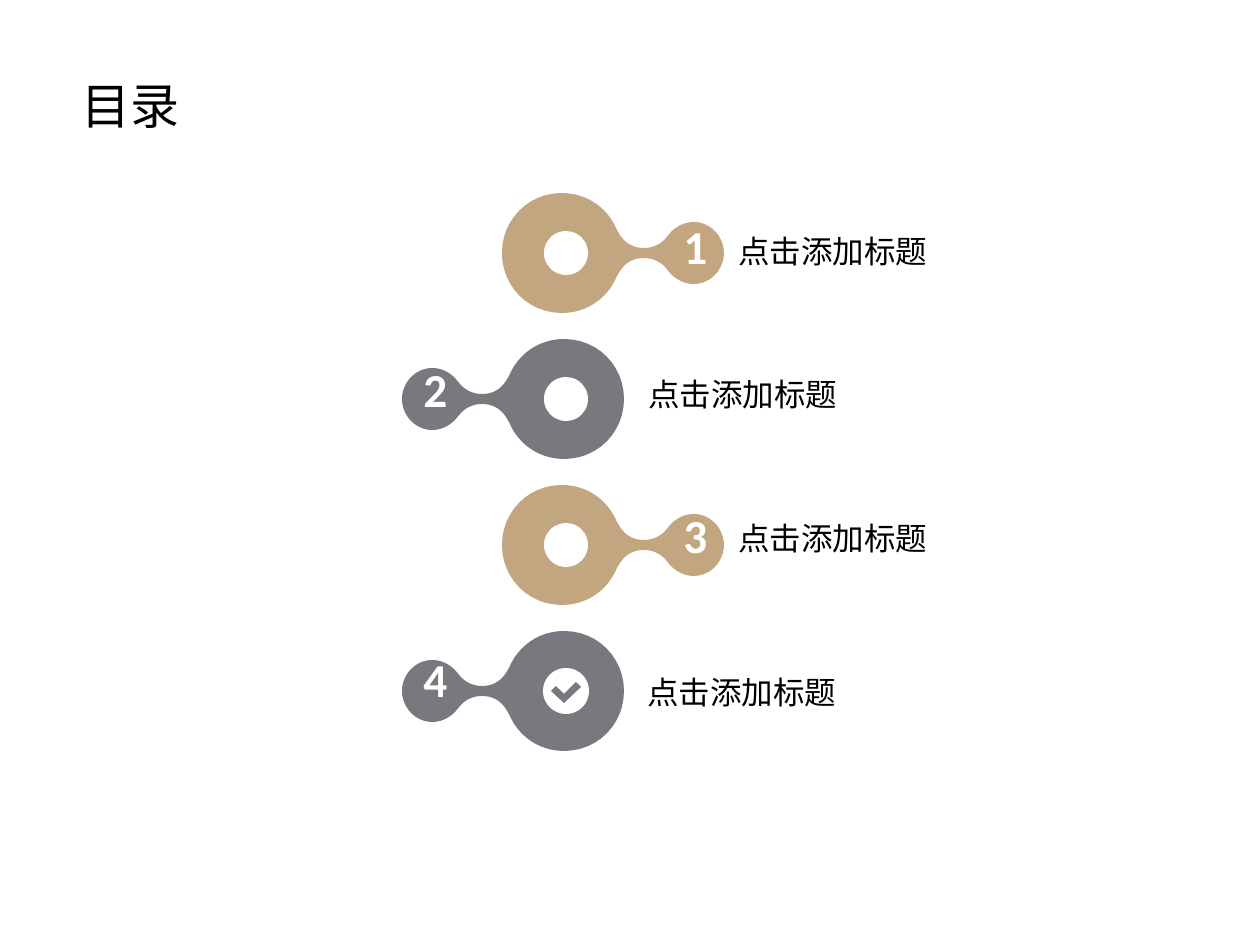
import pptx
import pptx.util
import pptx.dml.color
import pptx.enum.shapes
import pptx.enum.text
import pptx.oxml.ns
import lxml.etree

PX = 914400 // 126
HUES = {"tan": "C2A67F", "gray": "7A777E", "white": "FFFFFF", "black": "000000"}
HAN = "Noto Sans CJK SC"

TITLE = "目录"
ROWS = [
    {"num": "1", "num_y": 231, "text": "点击添加标题", "at": (726, 226)},
    {"num": "2", "num_y": 374, "text": "点击添加标题", "at": (636, 369)},
    {"num": "3", "num_y": 520, "text": "点击添加标题", "at": (726, 513)},
    {"num": "4", "num_y": 664, "text": "点击添加标题", "at": (635, 667)},
]
TOP, STEP = 253, 146
SIDES = [
    {"hue": "tan", "edge": 502, "sign": 1, "num_x": 692},
    {"hue": "gray", "edge": 624, "sign": -1, "num_x": 432},
]
ICON_X = 566
CHECK = [(-15, 0), (-10, -5), (-2, 3), (10, -9), (15, -4), (-2, 12)]
ARCS = [
    [(0, 0), (0, -33), (26, -60), (60, -60)],
    [(60, -60), (85, -60), (106, -45), (115, -23)],
    [(118, -18), (124, -9), (132, -5), (142, -5)],
    [(142, -5), (151, -5), (159, -9), (164, -15)],
    [(169, -21), (175, -27), (183, -31), (192, -31)],
    [(192, -31), (208, -31), (222, -17), (222, 0)],
]


def trace(arc, count=12):
    for i in range(count + 1):
        t = i / count
        mix = ((1 - t) ** 3, 3 * t * (1 - t) ** 2, 3 * t * t * (1 - t), t ** 3)
        yield tuple(sum(m * p[k] for m, p in zip(mix, arc)) for k in (0, 1))


def paint(shape, hue):
    shape.shadow.inherit = False
    shape.fill.solid()
    shape.fill.fore_color.rgb = pptx.dml.color.RGBColor.from_string(HUES[hue])
    shape.line.fill.background()


def draw(slide, points, x, y, hue, sign=1):
    spots = [(round((x + sign * a) * PX), round((y + b) * PX)) for a, b in points]
    pen = slide.shapes.build_freeform(*spots[0], scale=1.0)
    pen.add_line_segments(spots[1:], close=True)
    paint(pen.convert_to_shape(), hue)


def disc(slide, x, y, size, hue):
    kind = pptx.enum.shapes.MSO_SHAPE.OVAL
    box = [v * PX for v in (x - size // 2, y - size // 2, size, size)]
    paint(slide.shapes.add_shape(kind, *box), hue)


def write(slide, text, box, size=18, hue="black", face=HAN, bold=False,
          wrap=False, align="LEFT", space=None):
    frame = slide.shapes.add_textbox(*[v * PX for v in box]).text_frame
    frame.word_wrap = wrap
    para = frame.paragraphs[0]
    para.alignment = getattr(pptx.enum.text.PP_ALIGN, align)
    if space:
        para.line_spacing = space
    run = para.add_run()
    run.text = text
    font = run.font
    font.size = pptx.util.Pt(size)
    font.bold = bold
    font.color.rgb = pptx.dml.color.RGBColor.from_string(HUES[hue])
    font.name = face
    east = lxml.etree.SubElement(run._r.get_or_add_rPr(), pptx.oxml.ns.qn("a:ea"))
    east.set("typeface", face)


def main():
    deck = pptx.Presentation()
    deck.slide_width = pptx.util.Inches(10)
    deck.slide_height = pptx.util.Inches(7.5)
    slide = deck.slides.add_slide(deck.slide_layouts[6])

    half = [p for arc in ARCS for p in trace(arc)]
    link = half + [(a, -b) for a, b in reversed(half)]

    write(slide, TITLE, (69, 69, 137, 72), size=28, wrap=True)
    for i, row in enumerate(ROWS):
        side = SIDES[i % 2]
        y = TOP + i * STEP
        draw(slide, link, side["edge"], y, side["hue"], side["sign"])
        disc(slide, ICON_X, y, 46 if row is ROWS[-1] else 44, "white")
        write(slide, row["num"], (side["num_x"] - 21, row["num_y"], 42, 53),
              size=27, hue="white", face="Calibri", bold=True,
              align="CENTER", space=0.6)
        write(slide, row["text"], (*row["at"], 214, 50))
    draw(slide, CHECK, ICON_X, TOP + 3 * STEP, SIDES[1]["hue"])

    deck.save("out.pptx")


if __name__ == "__main__":
    main()
